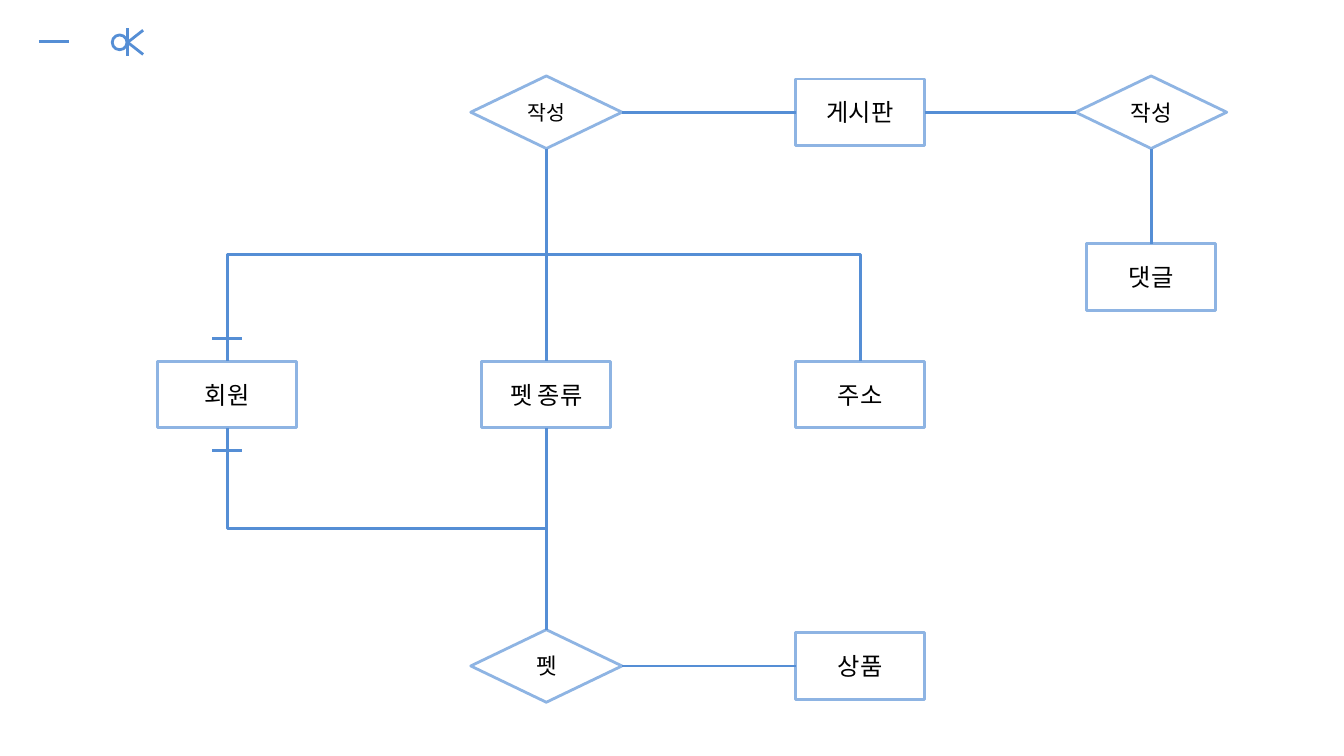
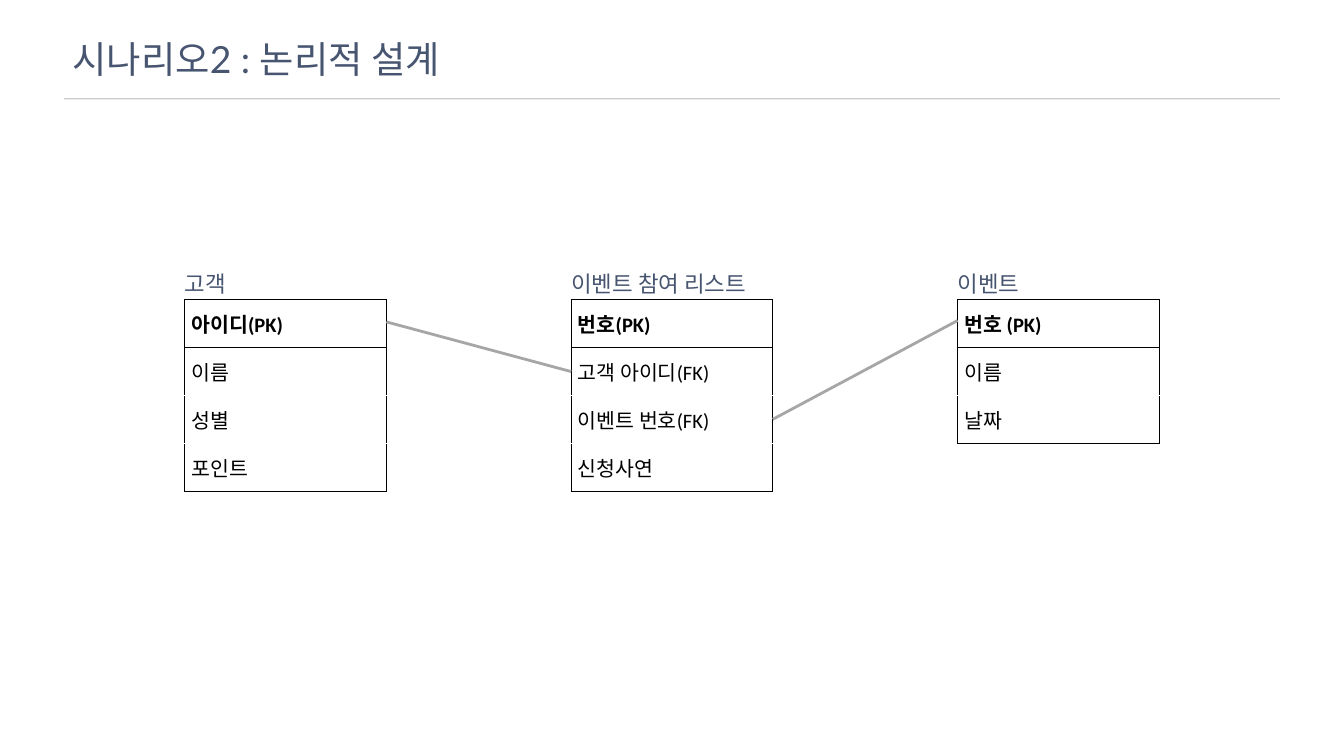
from dataclasses import dataclass

from lxml.etree import SubElement
from pptx import Presentation
from pptx.dml.color import RGBColor
from pptx.enum.shapes import MSO_CONNECTOR, MSO_SHAPE
from pptx.enum.text import MSO_ANCHOR, MSO_AUTO_SIZE, PP_ALIGN
from pptx.oxml.ns import qn
from pptx.util import Inches, Pt

TOP, LEFT, BOTTOM, RIGHT = range(4)


@dataclass(frozen=True)
class Theme:
    """Colours, fonts and sizes used by both slides."""
    white: str = "FFFFFF"
    black: str = "000000"
    outline: str = "8EB4E3"
    link: str = "558ED5"
    key_link: str = "A6A6A6"
    heading: str = "475570"
    body_font: str = "Calibri"
    head_font: str = "Lato"
    title_size: int = 40
    caption_size: int = 24
    entity_size: int = 26
    cell_size: int = 22
    stroke: float = 3
    rule: float = 1.5
    border: float = 1


T = Theme()


def rgb(color):
    """Turn a hex string into a colour."""
    return RGBColor.from_string(color)


def set_font(p, name, size, color, bold=False):
    """Set the font of a whole paragraph."""
    p.font.name, p.font.size, p.font.bold = name, Pt(size), bold
    p.font.color.rgb = rgb(color)


def set_line(line, color, width=T.stroke):
    """Set the colour and width of an outline."""
    line.color.rgb = rgb(color)
    line.width = Pt(width)


def add_shape(shapes, kind, x, y, w, h, color):
    """Add a white outlined shape."""
    sp = shapes.add_shape(kind, Inches(x), Inches(y), Inches(w), Inches(h))
    sp.shadow.inherit = False
    sp.fill.solid()
    sp.fill.fore_color.rgb = rgb(T.white)
    set_line(sp.line, color)
    return sp


def add_node(s, text, cx, cy, kind, w, h, size):
    """Add a labelled diagram node centred on a point."""
    sp = add_shape(s.shapes, kind, cx - w / 2, cy - h / 2, w, h, T.outline)
    tf = sp.text_frame
    tf.vertical_anchor = MSO_ANCHOR.MIDDLE
    p = tf.paragraphs[0]
    p.text, p.alignment = text, PP_ALIGN.CENTER
    set_font(p, T.body_font, size, T.black)
    return sp


def add_entity(s, text, cx, cy, w=1.92):
    """Add an entity box."""
    return add_node(s, text, cx, cy, MSO_SHAPE.RECTANGLE, w, 0.99, T.entity_size)


def add_relation(s, text, cx, cy, size=24):
    """Add a relationship diamond."""
    return add_node(s, text, cx, cy, MSO_SHAPE.DIAMOND, 2.25, 1.08, size)


def add_line(shapes, x1, y1, x2, y2, color=T.link, width=T.stroke, kind=MSO_CONNECTOR.STRAIGHT):
    """Add a connector without a shadow."""
    cxn = shapes.add_connector(kind, *map(Inches, (x1, y1, x2, y2)))
    set_line(cxn.line, color, width)
    SubElement(cxn._element.spPr, qn("a:effectLst"))
    return cxn


def join(s, start, start_side, end, end_side, kind=MSO_CONNECTOR.STRAIGHT):
    """Join the sides of two nodes."""
    cxn = add_line(s.shapes, 0, 0, 1, 1, kind=kind)
    cxn.begin_connect(start, start_side)
    cxn.end_connect(end, end_side)
    return cxn


def join_down(s, upper, lower):
    """Join two nodes with an elbow that leaves and arrives vertically."""
    cxn = join(s, upper, BOTTOM, lower, TOP, MSO_CONNECTOR.ELBOW)
    x1, y1, x2, y2 = cxn.begin_x, cxn.begin_y, cxn.end_x, cxn.end_y
    w, h = y2 - y1, abs(x2 - x1)
    xfrm = cxn._element.spPr.find(qn("a:xfrm"))
    xfrm.flipH, xfrm.flipV = x2 > x1, False
    xfrm.rot = 270 if x2 > x1 else 90
    cxn.left, cxn.top = (x1 + x2 - w) // 2, (y1 + y2 - h) // 2
    cxn.width, cxn.height = w, h


def add_crow_foot(s, x, y):
    """Add the zero-or-many symbol with its bar at a point."""
    shapes = s.shapes.add_group_shape().shapes
    add_shape(shapes, MSO_SHAPE.OVAL, x - 0.23, y - 0.11, 0.22, 0.22, T.link)
    add_line(shapes, x, y - 0.21, x, y + 0.21)
    for dy in (-0.18, 0.18):
        add_line(shapes, x, y, x + 0.23, y + dy)


def add_bar(s, cx, y):
    """Add a short cardinality bar."""
    add_line(s.shapes, cx - 0.22, y, cx + 0.22, y)


def format_heading(sp, text, x, y, w, h, size, spacing):
    """Place a heading and format its text."""
    sp.left, sp.top, sp.width, sp.height = map(Inches, (x, y, w, h))
    tf = sp.text_frame
    tf.word_wrap = True
    tf.auto_size = MSO_AUTO_SIZE.SHAPE_TO_FIT_TEXT
    tf.vertical_anchor = MSO_ANCHOR.TOP
    tf.margin_left = tf.margin_top = tf.margin_right = tf.margin_bottom = 0
    p = tf.paragraphs[0]
    p.text, p.alignment, p.line_spacing = text, PP_ALIGN.LEFT, Pt(spacing)
    set_font(p, T.head_font, size, T.heading)


def add_title(s, text):
    """Fill the title and rule it off with a faint line."""
    cxn = add_line(s.shapes, 0.95, 1.47, 19.05, 1.47, T.black, T.rule)
    clr = cxn.line._ln.find(".//" + qn("a:srgbClr"))
    SubElement(clr, qn("a:alpha"), val="20000")
    format_heading(s.shapes.title, text, 1.08, 0.42, 17.97, 0.79, T.title_size, 56)


def set_borders(cell, **colors):
    """Set cell borders by side: L, R, T and B."""
    tcPr = cell._tc.get_or_add_tcPr()
    for side, color in colors.items():
        ln = SubElement(tcPr, qn(f"a:ln{side}"), w=str(Pt(T.border)))
        fill = SubElement(ln, qn("a:solidFill"))
        SubElement(fill, qn("a:srgbClr"), val=color)


def add_entity_table(s, caption, x, fields):
    """Add a captioned table whose first row is the primary key."""
    w, row_h, n = Inches(3), Inches(2.86) // 4, len(fields)
    tbl = s.shapes.add_table(n, 1, Inches(x), Inches(4.46), w, row_h * n).table
    tbl.first_row = tbl.horz_banding = False
    for i, field in enumerate(fields):
        tbl.rows[i].height = row_h
        cell = tbl.cell(i, 0)
        cell.vertical_anchor = MSO_ANCHOR.MIDDLE
        p = cell.text_frame.paragraphs[0]
        p.text = field
        set_font(p, T.body_font, T.cell_size, T.black, bold=i == 0)
        set_borders(cell, L=T.black, R=T.black,
                    T=T.black if i < 2 else T.white,
                    B=T.black if i in (0, n - 1) else T.white)
        cell.fill.solid()
        cell.fill.fore_color.rgb = rgb(T.white)
    box = s.shapes.add_textbox(0, 0, w, row_h)
    format_heading(box, caption, x, 3.97, 3, 0.43, T.caption_size, 32)


def build_concept(prs):
    """Build the entity-relationship diagram."""
    s = prs.slides.add_slide(prs.slide_layouts[6])
    col1, col2, col3, col4 = 3.38, 8.13, 12.8, 17.13
    row1, row2, row3 = 1.67, 5.87, 9.91
    member = add_entity(s, "회원", col1, row2, 2.07)
    pet_type = add_entity(s, "펫 종류", col2, row2)
    address = add_entity(s, "주소", col3, row2)
    board = add_entity(s, "게시판", col3, row1)
    comment = add_entity(s, "댓글", col4, 4.12)
    product = add_entity(s, "상품", col3, row3)
    post = add_relation(s, "작성", col2, row1, 22)
    reply = add_relation(s, "작성", col4, row1)
    pet = add_relation(s, "펫", col2, row3)

    for upper, lower in ((post, member), (post, address), (member, pet)):
        join_down(s, upper, lower)
    for upper, lower in ((post, pet_type), (pet_type, pet), (reply, comment)):
        join(s, upper, BOTTOM, lower, TOP)
    for left, right in ((post, board), (board, reply), (pet, product)):
        join(s, left, RIGHT, right, LEFT)

    add_bar(s, 0.8, 0.62)
    add_crow_foot(s, 1.9, 0.63)
    for y in (5.04, 6.71):
        add_bar(s, col1, y)


def build_logical(prs):
    """Build the logical design with its key links."""
    s = prs.slides.add_slide(prs.slide_layouts[5])
    add_title(s, "시나리오2 : 논리적 설계")
    tables = (
        ("고객", ("아이디(PK)", "이름", "성별", "포인트")),
        ("이벤트 참여 리스트", ("번호(PK)", "고객 아이디(FK)", "이벤트 번호(FK)", "신청사연")),
        ("이벤트", ("번호 (PK)", "이름", "날짜")),
    )
    for i, (caption, fields) in enumerate(tables):
        add_entity_table(s, caption, 2.75 + 5.75 * i, fields)
    add_line(s.shapes, 5.75, 4.79, 8.5, 5.53, T.key_link)
    add_line(s.shapes, 11.5, 6.24, 14.25, 4.77, T.key_link)


def main():
    """Build and save the presentation."""
    prs = Presentation()
    prs.slide_width, prs.slide_height = Inches(20), Inches(11.25)
    build_concept(prs)
    build_logical(prs)
    prs.save("out.pptx")


if __name__ == "__main__":
    main()
